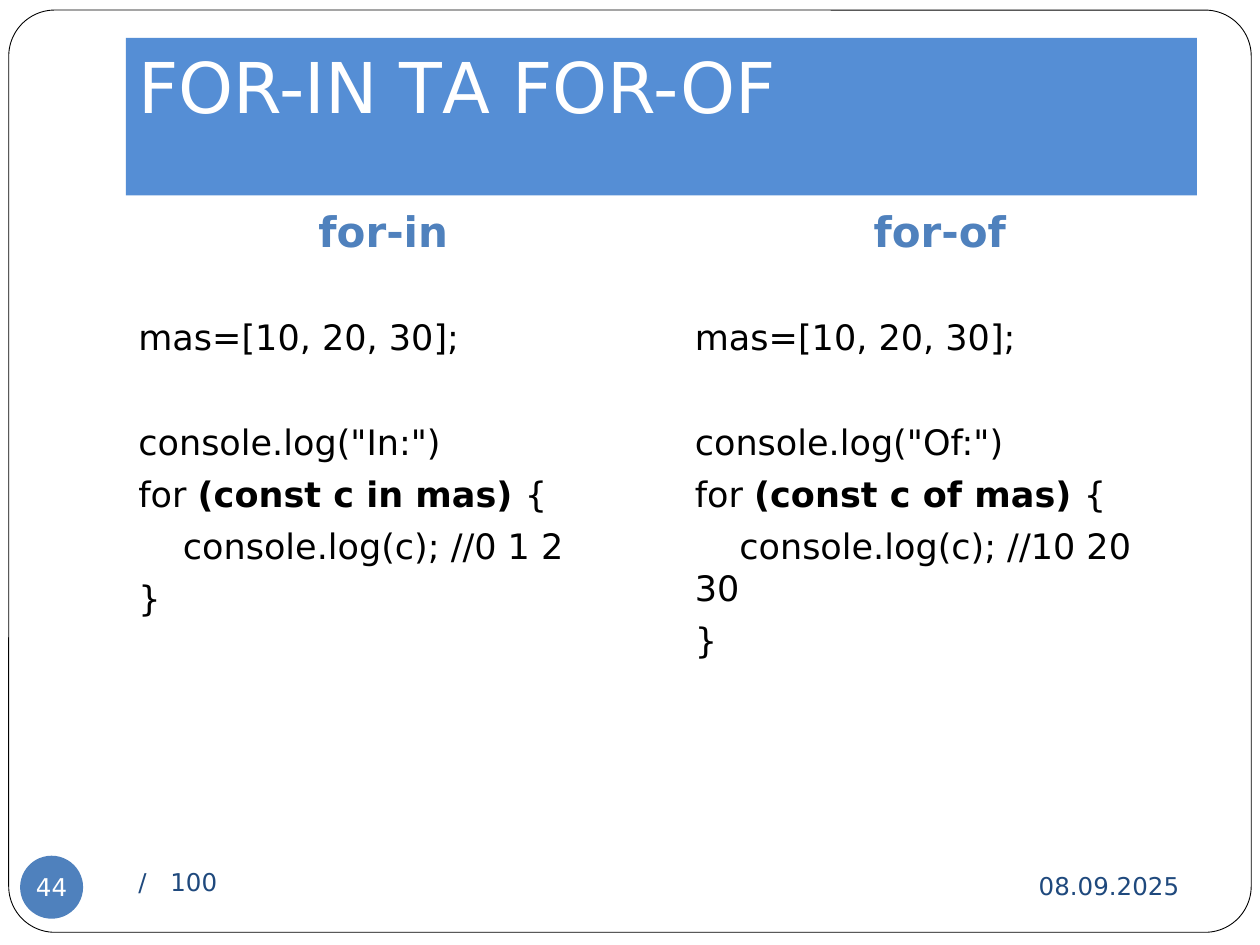
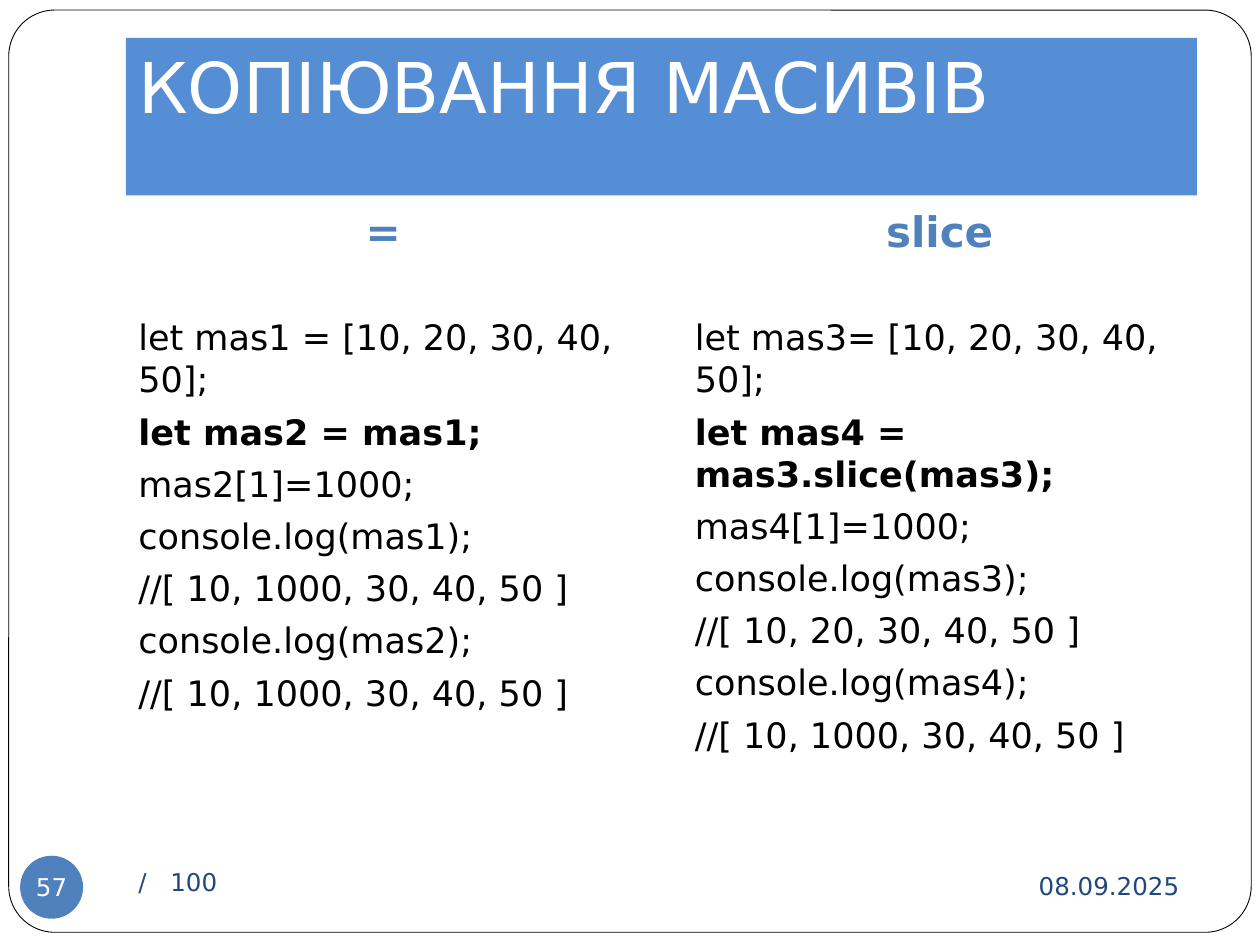
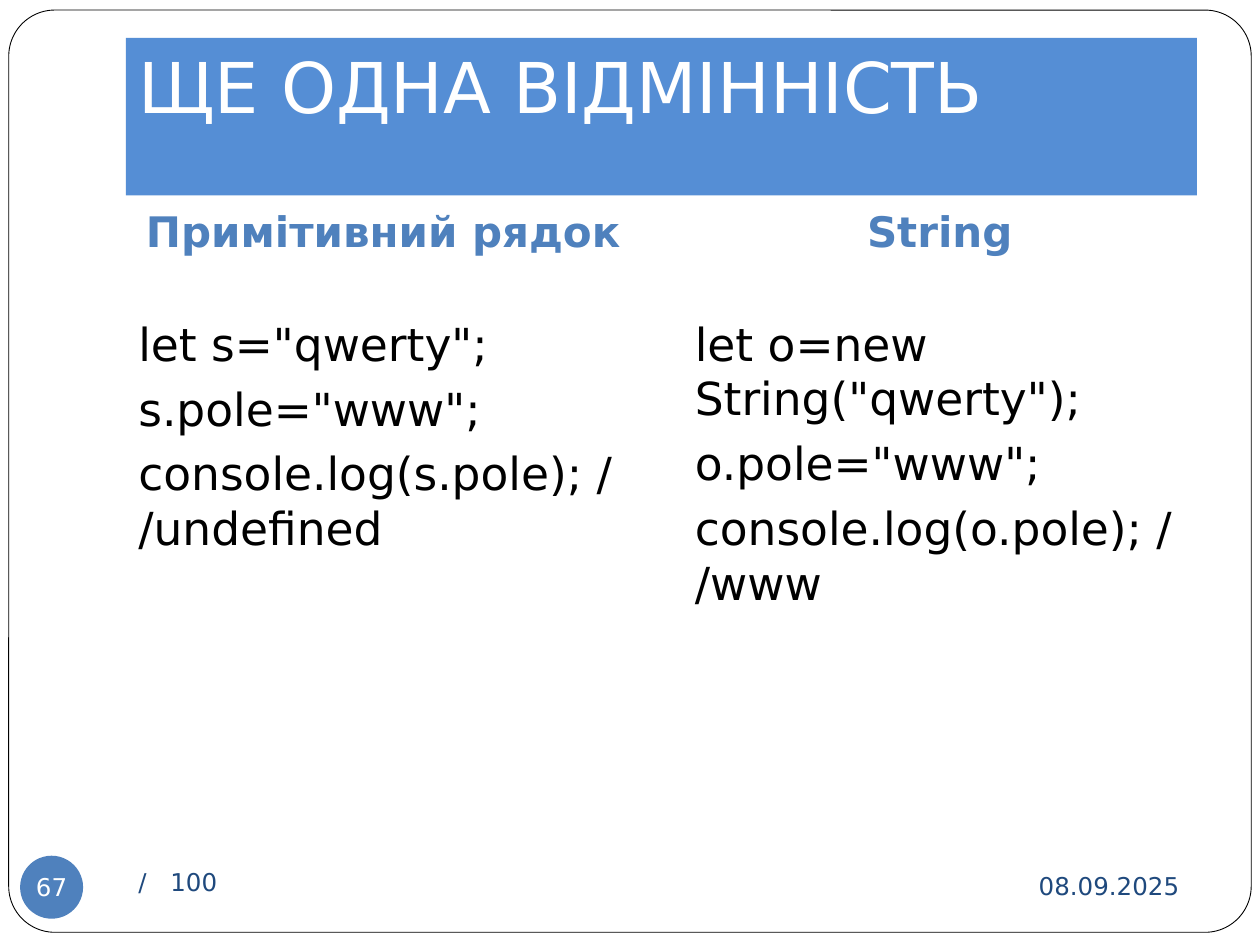
from dataclasses import dataclass

from lxml import etree
from pptx import Presentation
from pptx.dml.color import RGBColor
from pptx.enum.shapes import MSO_SHAPE
from pptx.enum.text import MSO_ANCHOR, PP_ALIGN
from pptx.oxml.ns import qn
from pptx.util import Pt

LEFT, CENTER, RIGHT = PP_ALIGN.LEFT, PP_ALIGN.CENTER, PP_ALIGN.RIGHT
TOP, MIDDLE = MSO_ANCHOR.TOP, MSO_ANCHOR.MIDDLE
RECTANGLE, ROUNDED, OVAL = MSO_SHAPE.RECTANGLE, MSO_SHAPE.ROUNDED_RECTANGLE, MSO_SHAPE.OVAL

# Shared style
FONT = "DejaVu Sans"
BLACK, WHITE = "000000", "FFFFFF"
BAND, ACCENT, FOOTER = "558ED5", "4F81BD", "1F497D"
TITLE_SIZE, HEADING_SIZE, FOOTER_SIZE = 40, 24, 14
LINE_GAP = 5.8
SECTION_GAP = 35.6
TOTAL_TAB = 18.25
DATE, TOTAL = "08.09.2025", "/\t100"


@dataclass(frozen=True)
class Box:
    left: float
    top: float
    width: float
    height: float

    def lengths(self) -> tuple:
        return Pt(self.left), Pt(self.top), Pt(self.width), Pt(self.height)


@dataclass(frozen=True)
class CodeLine:
    text: str = ""
    strong: str = ""
    rest: str = ""
    gap: float = LINE_GAP


@dataclass(frozen=True)
class Column:
    heading: str
    lines: list[CodeLine]


@dataclass(frozen=True)
class Comparison:
    number: int
    title: str
    columns: tuple[Column, Column]
    code_size: int = 20


# Shared layout
FRAME = Box(5, 5.75, 710, 527)
TITLE = Box(72, 21.6, 612, 90)
COLUMN_WIDTH, COLUMN_GAP = 294, 24
HEADING_TOP, HEADING_HEIGHT = 114, 60
CODE_TOP, CODE_HEIGHT = 177, 306
DATE_BOX = Box(486, 487.5, 195, 37.5)
TOTAL_BOX = Box(72, 486, 312, 36)
NUMBER_BOX = Box(11.5, 489, 36, 36)


def color(value: str) -> RGBColor:
    return RGBColor.from_string(value)


def add_shape(slide, kind, box: Box, fill: str, line: str = ""):
    shape = slide.shapes.add_shape(kind, *box.lengths())
    shape.shadow.inherit = False
    shape.fill.solid()
    shape.fill.fore_color.rgb = color(fill)
    if line:
        shape.line.color.rgb = color(line)
        shape.line.width = Pt(0.5)
    else:
        shape.line.fill.background()
    return shape


def add_text_box(slide, box: Box, anchor=TOP):
    shape = slide.shapes.add_textbox(*box.lengths())
    shape.text_frame.word_wrap = True
    shape.text_frame.vertical_anchor = anchor
    return shape


def style(paragraph, size: float, text_color: str, align=LEFT, bold: bool = False) -> None:
    paragraph.alignment = align
    font = paragraph.font
    font.name, font.size, font.bold = FONT, Pt(size), bold
    font.color.rgb = color(text_color)


def write(shape, text: str, size: float, text_color: str, align=LEFT, bold: bool = False) -> None:
    paragraph = shape.text_frame.paragraphs[0]
    paragraph.add_run().text = text
    style(paragraph, size, text_color, align, bold)


def add_tab_stop(paragraph, position: float) -> None:
    stops = etree.SubElement(paragraph._p.get_or_add_pPr(), qn("a:tabLst"))
    etree.SubElement(stops, qn("a:tab"), pos=str(Pt(position)), algn="l")


def add_title(slide, text: str) -> None:
    band = add_shape(slide, RECTANGLE, TITLE, BAND)
    band.text_frame.word_wrap = True
    band.text_frame.vertical_anchor = TOP
    write(band, text, TITLE_SIZE, WHITE)


def add_footer(slide, number: int) -> None:
    write(add_text_box(slide, DATE_BOX, MIDDLE), DATE, FOOTER_SIZE, FOOTER, RIGHT)

    total = add_text_box(slide, TOTAL_BOX, MIDDLE)
    add_tab_stop(total.text_frame.paragraphs[0], TOTAL_TAB)
    write(total, TOTAL, FOOTER_SIZE, FOOTER)

    badge = add_shape(slide, OVAL, NUMBER_BOX, ACCENT)
    frame = badge.text_frame
    frame.margin_left = frame.margin_top = frame.margin_right = frame.margin_bottom = Pt(0)
    frame.word_wrap = False
    frame.vertical_anchor = MIDDLE
    write(badge, str(number), FOOTER_SIZE, WHITE, CENTER)


def add_code(slide, box: Box, lines: list[CodeLine], size: int) -> None:
    frame = add_text_box(slide, box).text_frame
    for index, line in enumerate(lines):
        paragraph = frame.add_paragraph() if index else frame.paragraphs[0]
        if index:
            paragraph.space_before = Pt(line.gap)
        for text, bold in ((line.text, False), (line.strong, True), (line.rest, False)):
            if text:
                run = paragraph.add_run()
                run.text = text
                if bold:
                    run.font.bold = True
        style(paragraph, size, BLACK)


def add_comparison(presentation, comparison: Comparison) -> None:
    slide = presentation.slides.add_slide(presentation.slide_layouts[6])
    frame = add_shape(slide, ROUNDED, FRAME, WHITE, BLACK)
    frame.adjustments[0] = 0.05
    add_title(slide, comparison.title)
    for index, column in enumerate(comparison.columns):
        left = TITLE.left + index * (COLUMN_WIDTH + COLUMN_GAP)
        heading = add_text_box(slide, Box(left, HEADING_TOP, COLUMN_WIDTH, HEADING_HEIGHT))
        write(heading, column.heading, HEADING_SIZE, ACCENT, CENTER, bold=True)
        code_box = Box(left, CODE_TOP, COLUMN_WIDTH, CODE_HEIGHT)
        add_code(slide, code_box, column.lines, comparison.code_size)
    add_footer(slide, comparison.number)


# Code that differs only in details between the two columns
def loop_column(keyword: str, output: str) -> Column:
    return Column(f"for-{keyword}", [
        CodeLine("mas=[10, 20, 30];"),
        CodeLine(f'console.log("{keyword.capitalize()}:")', gap=SECTION_GAP),
        CodeLine("for ", f"(const c {keyword} mas) ", "{"),
        CodeLine(f"    console.log(c); //{output}"),
        CodeLine("}"),
    ])


def copy_column(heading: str, declaration: str, source: str, target: str,
                value: str, second: int) -> Column:
    return Column(heading, [
        CodeLine(f"let {declaration} [10, 20, 30, 40, 50];"),
        CodeLine(strong=f"let {target} = {value};"),
        CodeLine(f"{target}[1]=1000;"),
        CodeLine(f"console.log({source});"),
        CodeLine(f"//[ 10, {second}, 30, 40, 50 ]"),
        CodeLine(f"console.log({target});"),
        CodeLine("//[ 10, 1000, 30, 40, 50 ]"),
    ])


def string_column(heading: str, name: str, value: str, output: str) -> Column:
    return Column(heading, [
        CodeLine(f"let {name}={value};"),
        CodeLine(f'{name}.pole="www";'),
        CodeLine(f"console.log({name}.pole); //{output}"),
    ])


COMPARISONS = [
    Comparison(44, "FOR-IN ТА FOR-OF", (
        loop_column("in", "0 1 2"),
        loop_column("of", "10 20 30"),
    )),
    Comparison(57, "КОПІЮВАННЯ МАСИВІВ", (
        copy_column("=", "mas1 =", "mas1", "mas2", "mas1", 1000),
        copy_column("slice", "mas3=", "mas3", "mas4", "mas3.slice(mas3)", 20),
    )),
    Comparison(67, "ЩЕ ОДНА ВІДМІННІСТЬ", (
        string_column("Примітивний рядок", "s", '"qwerty"', "undefined"),
        string_column("String", "o", 'new String("qwerty")', "www"),
    ), code_size=26),
]


def main() -> None:
    presentation = Presentation()
    presentation.slide_width, presentation.slide_height = Pt(720), Pt(540)
    for comparison in COMPARISONS:
        add_comparison(presentation, comparison)
    presentation.save("out.pptx")


if __name__ == "__main__":
    main()
